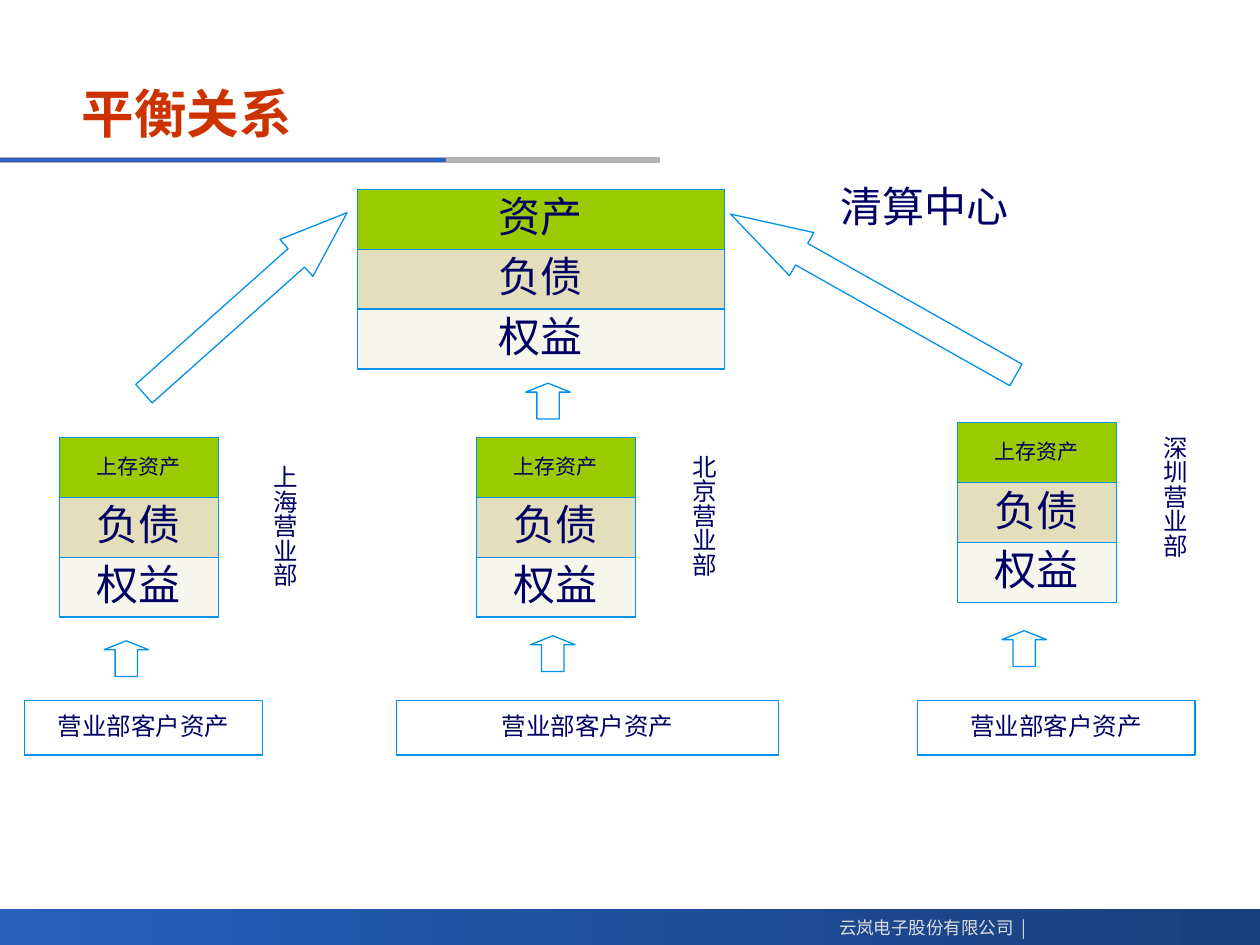
from dataclasses import dataclass

from lxml.etree import SubElement
from pptx import Presentation
from pptx.dml.color import RGBColor
from pptx.enum.shapes import MSO_CONNECTOR, MSO_SHAPE
from pptx.enum.text import MSO_ANCHOR as ANCHOR, MSO_AUTO_SIZE as FIT, PP_ALIGN as ALIGN
from pptx.oxml.ns import qn
from pptx.util import Pt

NAVY = RGBColor(0x00, 0x00, 0x64)
TITLE_RED = RGBColor(0xCC, 0x33, 0x00)
OUTLINE = RGBColor(0x02, 0x90, 0xE8)
GREEN = RGBColor(0x99, 0xCC, 0x00)
SAND = RGBColor(0xE3, 0xDE, 0xBB)
IVORY = RGBColor(0xF7, 0xF6, 0xED)
RULE_GREY = RGBColor(0xB2, 0xB2, 0xB2)
RULE_BLUE = RGBColor(0x2A, 0x60, 0xC0)
BAR_LIGHT = RGBColor(0x26, 0x5F, 0xBC)
BAR_DARK = RGBColor(0x19, 0x3F, 0x7C)
FOOTER_GREY = RGBColor(0xDD, 0xDD, 0xDD)

LATIN, CJK = "Arial", "Noto Sans CJK SC"
ROW_H = 34.2
CLIENT_TOP, CLIENT_H = 400.3, 31.2
LABEL_W, LABEL_H = 29.5, 90.7
BRANCH_W = 90.9
UP_LENGTH, UP_SPAN = 20.4, 25.5


@dataclass(frozen=True)
class Branch:
    name: str
    left: float
    top: float
    label_left: float
    label_top: float
    client_left: float
    client_w: float
    arrow_x: float
    arrow_y: float


@dataclass(frozen=True)
class BlockArrow:
    """An arrow given by its unrotated box, rotation and head ratio."""
    left: float
    top: float
    length: float
    span: float
    rotation: float
    head: float


BRANCHES = (
    Branch("上海营业部", 33.9, 250, 143.3, 258.5, 14, 136.2, 72.2, 376.4),
    Branch("北京营业部", 272.1, 250, 382.8, 252.6, 226.6, 218.4, 315.9, 373.5),
    Branch("深圳营业部", 547, 241.5, 652.2, 241.8, 524.2, 158.7, 585.3, 370.6),
)
LONG_ARROWS = (
    BlockArrow(62.6, 159.1, 155.5, 28.3, 318.3, 1.373),
    BlockArrow(405.4, 154.1, 187.2, 28.3, 209.4, 1.649),
)


def write(tf, text: str, size: float, color: RGBColor = NAVY, align=ALIGN.LEFT,
          spacing: float = 0.9, latin: str = LATIN, bold: bool = False) -> None:
    p = tf.paragraphs[0]
    p.alignment, p.line_spacing = align, spacing
    r = p.add_run()
    r.text = text
    r.font.color.rgb = color
    for key, value in dict(size=Pt(size), bold=bold, name=latin).items():
        setattr(r.font, key, value)
    SubElement(r.font._element, qn("a:ea")).set("typeface", CJK)


def add_preset(shapes, kind, left: float, top: float, width: float, height: float,
               fill: RGBColor | None = None):
    sp = shapes.add_shape(kind, Pt(left), Pt(top), Pt(width), Pt(height))
    sp.shadow.inherit = False
    sp.line.color.rgb, sp.line.width = OUTLINE, Pt(0.75)
    if fill is None:
        sp.fill.background()
    else:
        sp.fill.solid()
        sp.fill.fore_color.rgb = fill
    return sp


def add_box(shapes, left: float, top: float, width: float, height: float,
            text: str, size: float, fill: RGBColor | None = None) -> None:
    sp = add_preset(shapes, MSO_SHAPE.RECTANGLE, left, top, width, height, fill)
    sp.text_frame.word_wrap = False
    sp.text_frame.vertical_anchor = ANCHOR.MIDDLE
    write(sp.text_frame, text, size, align=ALIGN.CENTER)


def add_balance(shapes, left: float, top: float, width: float,
                asset: str, asset_size: float) -> None:
    """Stack assets, liabilities and equity in one group."""
    group = shapes.add_group_shape()
    rows = ((asset, asset_size, GREEN), ("负债", 24, SAND), ("权益", 24, IVORY))
    for i, (text, size, fill) in enumerate(rows):
        add_box(group.shapes, left, top + i * ROW_H, width, ROW_H, text, size, fill)


def add_arrow(shapes, a: BlockArrow) -> None:
    sp = add_preset(shapes, MSO_SHAPE.RIGHT_ARROW, a.left, a.top, a.length, a.span)
    sp.adjustments[0], sp.adjustments[1] = 0.5, a.head
    sp.rotation = a.rotation


def add_up_arrow(shapes, center_x: float, center_y: float) -> None:
    add_arrow(shapes, BlockArrow(center_x - UP_LENGTH / 2, center_y - UP_SPAN / 2,
                                 UP_LENGTH, UP_SPAN, 270, 0.25))


def add_text(shapes, left: float, top: float, width: float, height: float,
             text: str, size: float, wrap: bool = True, vertical: bool = False,
             **style) -> None:
    tf = shapes.add_textbox(Pt(left), Pt(top), Pt(width), Pt(height)).text_frame
    tf.word_wrap, tf.auto_size = wrap, FIT.SHAPE_TO_FIT_TEXT
    if vertical:
        tf._txBody.bodyPr.set("vert", "eaVert")
        margins = dict(margin_left=3.6, margin_right=3.6, margin_top=7.2, margin_bottom=7.2)
        for key, value in margins.items():
            setattr(tf, key, Pt(value))
    write(tf, text, size, **style)


def add_rule(shapes, length: float, color: RGBColor, width: float) -> None:
    y = Pt(91.4)
    line = shapes.add_connector(MSO_CONNECTOR.STRAIGHT, 0, y, Pt(length), y)
    line.line.color.rgb, line.line.width = color, Pt(width)
    SubElement(line._element.spPr, qn("a:effectLst"))


def add_frame(shapes) -> None:
    """Draw the footer bar with its text and the rules below the title."""
    bar = add_preset(shapes, MSO_SHAPE.RECTANGLE, 0, 519.5, 720, 20.5)
    bar.line.fill.background()
    bar.fill.gradient()
    bar.fill.gradient_angle = 0
    for stop, color, position in zip(bar.fill.gradient_stops, (BAR_LIGHT, BAR_DARK), (0, 1)):
        stop.color.rgb, stop.position = color, position
    add_rule(shapes, 377.2, RULE_GREY, 3)
    add_rule(shapes, 255, RULE_BLUE, 2.25)
    add_text(shapes, 470.2, 520.4, 123.1, 19.4, "云岚电子股份有限公司  |", 10, wrap=False,
             color=FOOTER_GREY, align=ALIGN.RIGHT, spacing=1.0, latin=CJK)


def add_title(title) -> None:
    box = dict(left=39.6, top=40.3, width=498.2, height=48.2)
    for key, value in box.items():
        setattr(title, key, Pt(value))
    title.text_frame.vertical_anchor = ANCHOR.MIDDLE
    write(title.text_frame, "平衡关系", 30, TITLE_RED, spacing=1.0, bold=True)


def main() -> None:
    prs = Presentation()
    prs.slide_width, prs.slide_height = Pt(720), Pt(540)
    s = prs.slides.add_slide(prs.slide_layouts[5])
    shapes = s.shapes
    add_frame(shapes)
    add_title(shapes.title)

    add_balance(shapes, 204.3, 108.2, 209.7, "资产", 24)
    add_text(shapes, 473, 103, 124.6, 33.1, "清算中心", 24)
    for arrow in LONG_ARROWS:
        add_arrow(shapes, arrow)
    add_up_arrow(shapes, 313.2, 229.2)

    for b in BRANCHES:
        add_balance(shapes, b.left, b.top, BRANCH_W, "上存资产", 12)
        add_text(shapes, b.label_left, b.label_top, LABEL_W, LABEL_H, b.name, 14, vertical=True)
        add_box(shapes, b.client_left, CLIENT_TOP, b.client_w, CLIENT_H, "营业部客户资产", 14)
        add_up_arrow(shapes, b.arrow_x, b.arrow_y)

    prs.save("out.pptx")


if __name__ == "__main__":
    main()
